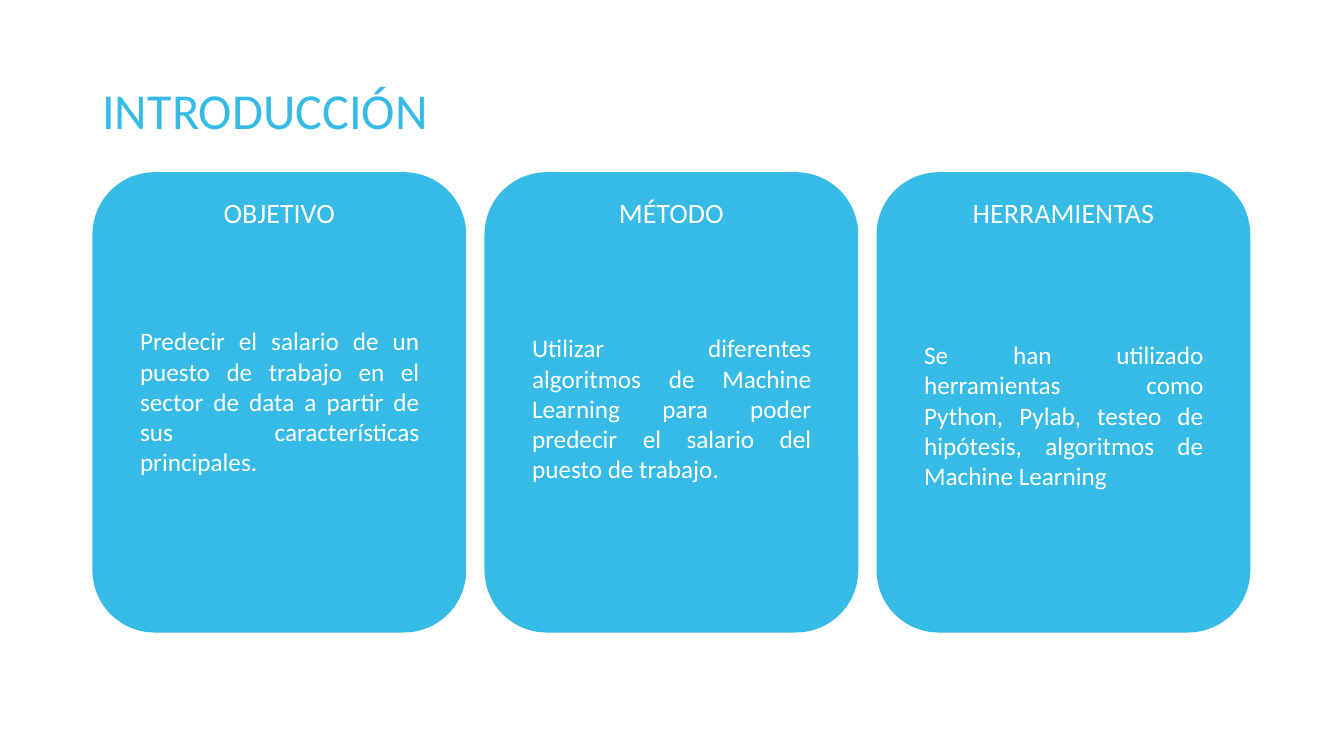
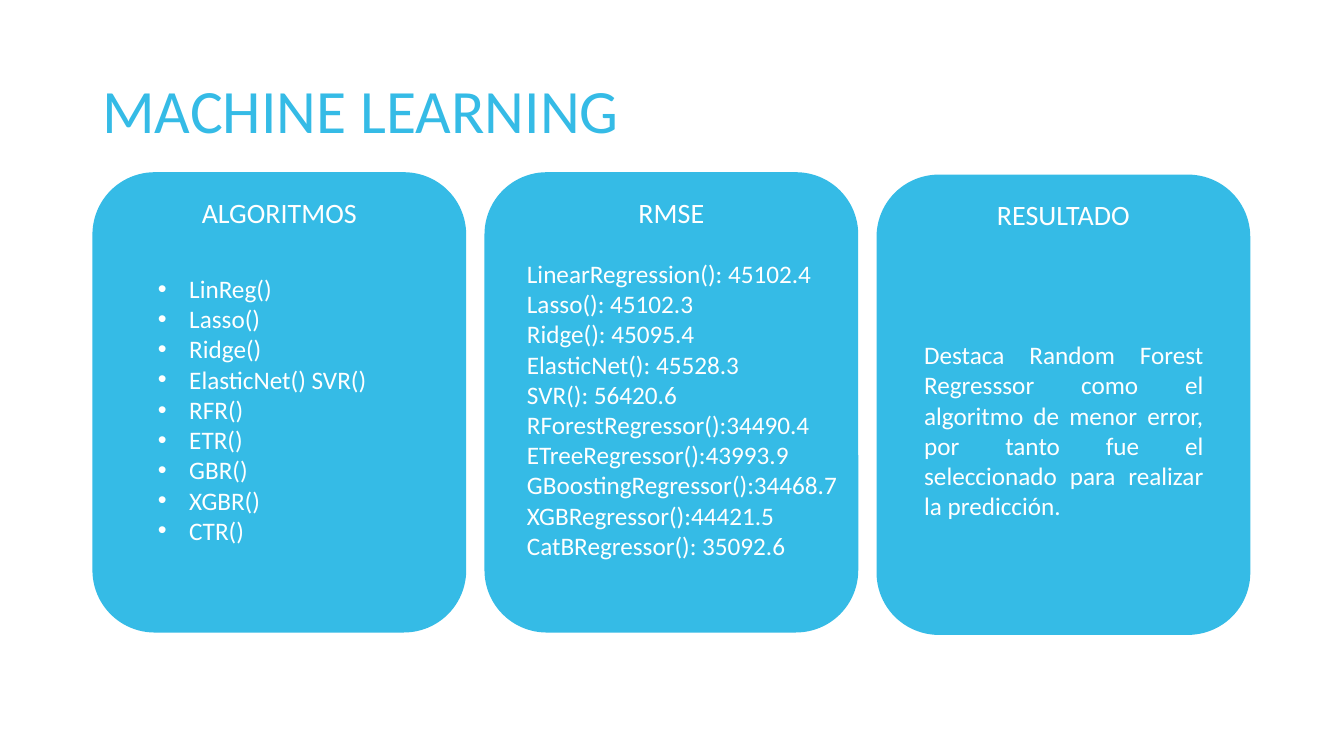
from pptx import Presentation
from pptx.dml.color import RGBColor
from pptx.enum.shapes import MSO_SHAPE as Preset
from pptx.enum.text import MSO_ANCHOR as Anchor, MSO_AUTO_SIZE as AutoSize, PP_ALIGN as Align
from pptx.oxml.ns import qn
from pptx.util import Cm, Pt
from lxml.etree import SubElement


def color(hex_value):
    return RGBColor.from_string(hex_value)


class Deck:
    """Holds the shared style and the slide being built."""
    FONT, BLUE, WHITE = "Calibri", "35BBE6", "FFFFFF"
    LEFT, CARD_TOP = 2.33, 4.34
    CARD_WIDTH, CARD_HEIGHT, CARD_PITCH = 9.42, 11.6, 9.88
    TITLE_TOP, TITLE_WIDTH, TITLE_HEIGHT = 1.02, 29.21, 3.68
    BODY_INSET, BODY_WIDTH = 0.95, 7.54
    LINE_HEIGHT, BODY_PADDING, BULLET_INDENT = 0.76, 0.27, 0.79

    def __init__(self):
        self.presentation = Presentation()
        self.presentation.slide_width = Cm(33.87)
        self.presentation.slide_height = Cm(19.05)
        self.slide = None

    def add_slide(self, title, title_size):
        self.slide = self.presentation.slides.add_slide(self.presentation.slide_layouts[6])
        frame = self.text_box(self.LEFT, self.TITLE_TOP, self.TITLE_WIDTH, self.TITLE_HEIGHT)
        frame.vertical_anchor = Anchor.MIDDLE
        self.fill_text(frame, [title], title_size, self.BLUE, line_spacing=0.9)

    def text_box(self, left, top, width, height):
        shape = self.slide.shapes.add_textbox(Cm(left), Cm(top), Cm(width), Cm(height))
        shape.text_frame.word_wrap = True
        return shape.text_frame

    def fill_text(self, frame, lines, size, text_color, **paragraph_format):
        for index, line in enumerate(lines):
            paragraph = frame.add_paragraph() if index else frame.paragraphs[0]
            for name, value in paragraph_format.items():
                setattr(paragraph, name, value)
            run = paragraph.add_run()
            run.text = line
            for name, value in {"name": self.FONT, "size": Pt(size)}.items():
                setattr(run.font, name, value)
            run.font.color.rgb = color(text_color)

    def card_left(self, column):
        return self.LEFT + column * self.CARD_PITCH

    def card(self, column, heading, top=CARD_TOP):
        shape = self.slide.shapes.add_shape(
            Preset.ROUNDED_RECTANGLE, Cm(self.card_left(column)), Cm(top),
            Cm(self.CARD_WIDTH), Cm(self.CARD_HEIGHT))
        shape.shadow.inherit = False
        shape.fill.solid()
        shape.fill.fore_color.rgb = color(self.BLUE)
        shape.line.fill.background()
        shape.text_frame.vertical_anchor = Anchor.TOP
        self.fill_text(shape.text_frame, [heading], 20, self.WHITE, alignment=Align.CENTER)

    def body(self, column, top, lines, line_count, inset=BODY_INSET, width=BODY_WIDTH,
             alignment=Align.JUSTIFY):
        height = line_count * self.LINE_HEIGHT + self.BODY_PADDING
        frame = self.text_box(self.card_left(column) + inset, top, width, height)
        frame.auto_size = AutoSize.SHAPE_TO_FIT_TEXT
        self.fill_text(frame, lines, 18, self.WHITE, alignment=alignment)
        return frame

    def bullets(self, column, top, lines, inset):
        frame = self.body(column, top, lines, len(lines), inset, alignment=Align.LEFT)
        indent = Cm(self.BULLET_INDENT)
        for paragraph in frame.paragraphs:
            properties = paragraph._p.get_or_add_pPr()
            properties.set("marL", str(indent))
            properties.set("indent", str(-indent))
            SubElement(properties, qn("a:buFont"), typeface="Arial")
            SubElement(properties, qn("a:buChar"), char="•")


def main():
    deck = Deck()

    # Introduction: three cards, each with one paragraph
    deck.add_slide("INTRODUCCIÓN", 36)
    topics = [
        ("OBJETIVO", 8.08, "Predecir el salario de un puesto de trabajo en el sector de data "
                           "a partir de sus características principales."),
        ("MÉTODO", 8.26, "Utilizar diferentes algoritmos de Machine Learning para poder "
                         "predecir el salario del puesto de trabajo."),
        ("HERRAMIENTAS", 8.43, "Se han utilizado herramientas como Python, Pylab, testeo de "
                               "hipótesis, algoritmos de Machine Learning"),
    ]
    for column, (heading, top, text) in enumerate(topics):
        deck.card(column, heading)
        deck.body(column, top, [text], 5)

    # Machine learning: algorithms, their errors and the result
    deck.add_slide("MACHINE LEARNING", 44)
    deck.card(0, "ALGORITMOS")
    deck.card(1, "RMSE")
    deck.card(2, "RESULTADO", top=4.4)

    algorithms = ["LinReg()", "Lasso()", "Ridge()", "ElasticNet() SVR()", "RFR()",
                  "ETR()", "GBR()", "XGBR()", "CTR()"]
    deck.bullets(0, 6.76, algorithms, inset=1.4)

    errors = ["LinearRegression(): 45102.4", "Lasso(): 45102.3", "Ridge(): 45095.4",
              "ElasticNet(): 45528.3", "SVR(): 56420.6", "RForestRegressor():34490.4",
              "ETreeRegressor():43993.9", "GBoostingRegressor():34468.7",
              "XGBRegressor():44421.5", "CatBRegressor(): 35092.6"]
    deck.body(1, 6.38, errors, len(errors), inset=0.82, width=10.39)

    deck.body(2, 8.43, ["Destaca Random Forest Regresssor como el algoritmo de menor error, "
                        "por tanto fue el seleccionado para realizar la predicción."], 6)

    deck.presentation.save("out.pptx")


if __name__ == "__main__":
    main()
